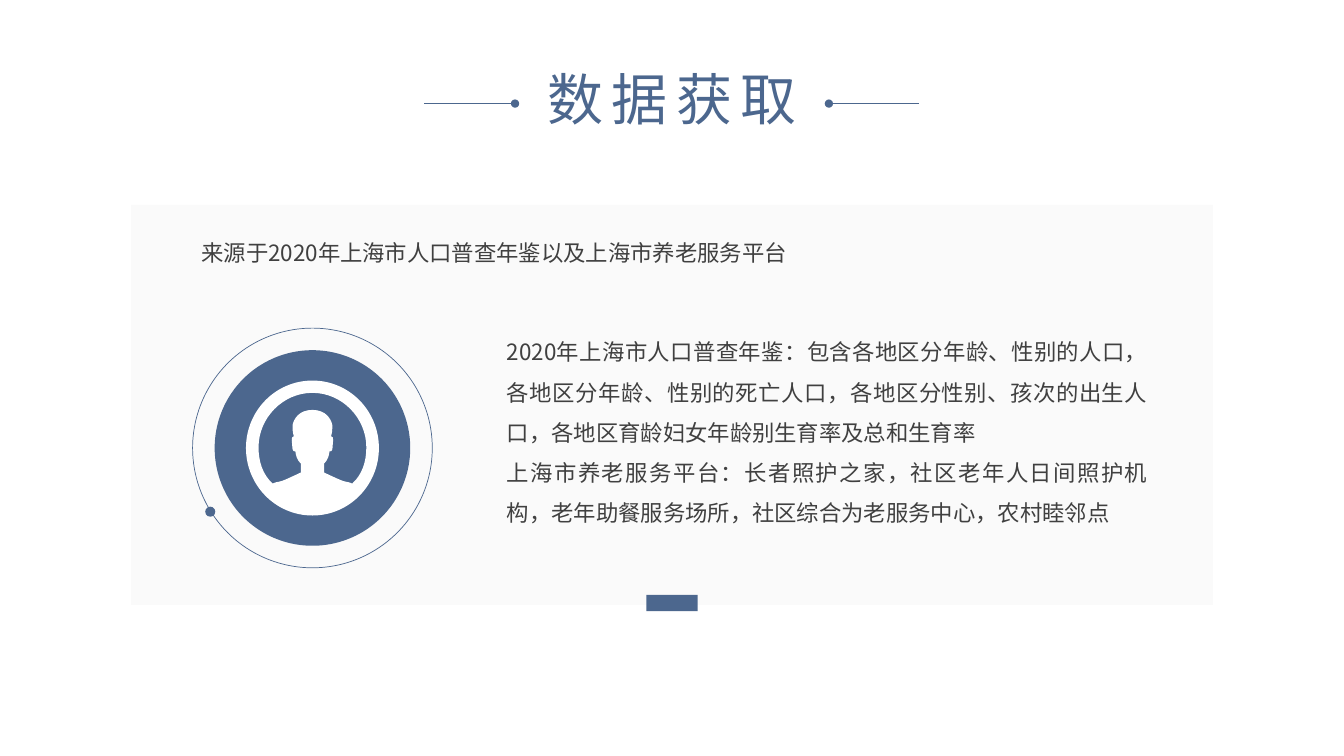
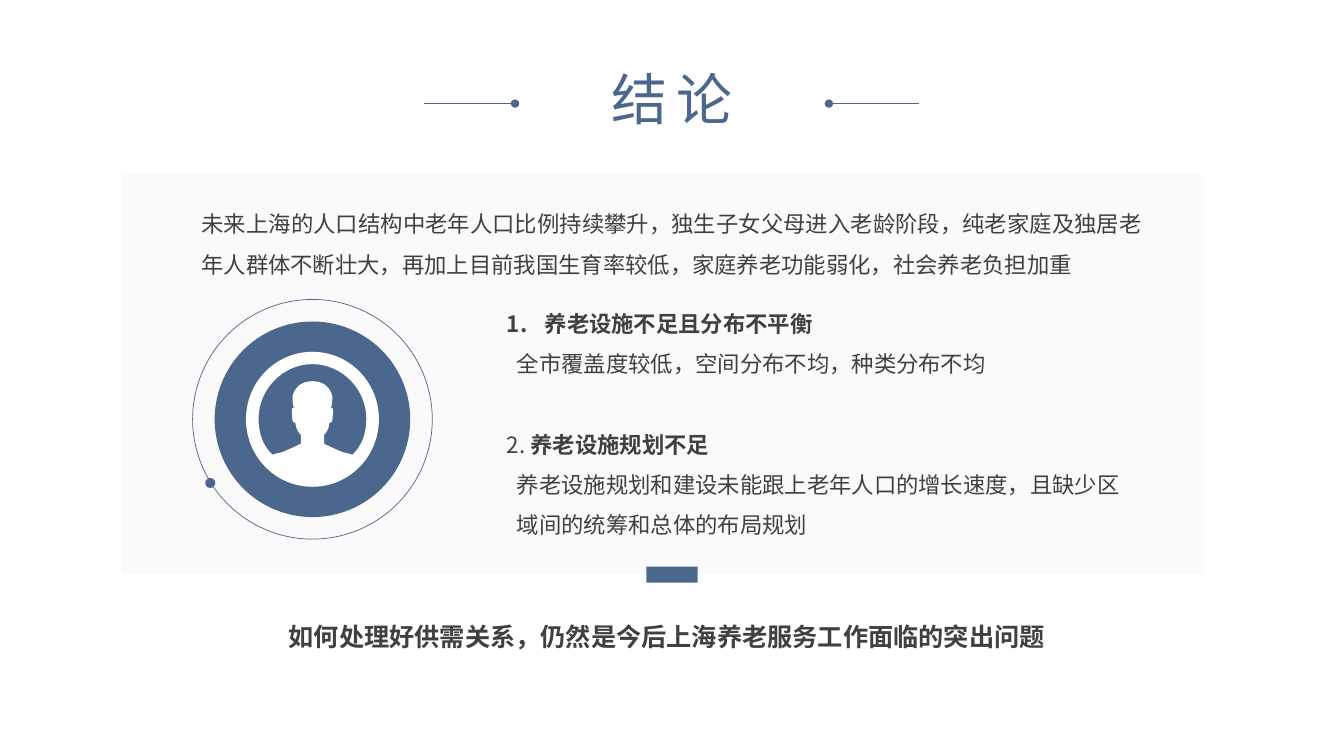
from dataclasses import dataclass
from typing import Optional

from lxml.etree import SubElement
from pptx import Presentation
from pptx.dml.color import RGBColor
from pptx.enum.shapes import MSO_CONNECTOR, MSO_SHAPE
from pptx.enum.text import MSO_AUTO_SIZE, PP_ALIGN
from pptx.oxml.ns import qn
from pptx.util import Pt


@dataclass(frozen=True)
class Theme:
    accent: RGBColor = RGBColor(0x4C, 0x67, 0x8E)
    body: RGBColor = RGBColor(0x40, 0x40, 0x40)
    panel: RGBColor = RGBColor(0xF2, 0xF2, 0xF2)
    white: RGBColor = RGBColor(0xFF, 0xFF, 0xFF)
    panel_alpha: int = 33000
    font: str = "Noto Sans CJK SC"
    title_size: float = 40
    title_tracking: float = 6
    body_size: float = 16
    closing_size: float = 18
    line_spacing: float = 1.5
    hairline: float = 0.5


@dataclass(frozen=True)
class Box:
    left: float
    top: float
    width: float
    height: float

    def lengths(self) -> tuple:
        return Pt(self.left), Pt(self.top), Pt(self.width), Pt(self.height)


@dataclass(frozen=True)
class Span:
    text: str
    bold: bool = False


@dataclass(frozen=True)
class Para:
    spans: tuple
    margin: float = 0
    hanging: float = 0
    numbered: bool = False
    space_before: float = 0


@dataclass(frozen=True)
class TextBlock:
    box: Box
    paras: tuple
    size: float
    grow: bool = False


@dataclass(frozen=True)
class Page:
    title: str
    panel: Box
    tab_top: float
    badge_center: float
    blocks: tuple


THEME = Theme()
SLIDE_WIDTH, SLIDE_HEIGHT = 960, 540
TITLE_BOX = Box(371.7, 42.5, 216.7, 55.4)
RULE_Y = 74
TITLE_RULES = ((303.1, 367.9), (656.6, 592.1))
BADGE_X = 223.2

DISC_HALF = (
    (0, -48.2),
    ((26.3, -48.2), (47.5, -26.6), (47.5, 0)),
    ((47.5, 26.6), (26.3, 48.2), (0, 48.2)),
)
BACKDROP_HALF = (
    (0, -27.2),
    ((9.7, -27.2), (13.3, -20.7), (14.2, -16.4)),
    ((14.2, -13.5), (14.2, -11.3), (13.3, -8.4)),
    ((15.8, -8.4), (14.4, -3.4), (14.4, -1.2)),
    ((14.4, -0.5), (14.4, 3.1), (12.2, 2.4)),
    ((11.5, 8.8), (8.3, 11), (8.3, 11)),
    ((8.3, 11), (8.3, 17.5), (8.3, 17.5)),
    ((8.3, 17.5), (11.2, 18.9), (17.6, 21.8)),
    ((25.6, 25.4), (23.4, 23.2), (28.4, 25.4)),
    ((35.6, 18.9), (38.5, 9.6), (38.5, -0.5)),
    ((38.5, -21.4), (21.2, -39.4), (0, -39.4)),
)


def plain(text: str, **layout) -> Para:
    return Para((Span(text),), **layout)


PAGES = (
    Page(
        title="数据获取",
        panel=Box(93.7, 146.3, 772.6, 285.8),
        tab_top=425,
        badge_center=320,
        blocks=(
            TextBlock(
                Box(136.8, 157.7, 686.9, 36),
                (plain("来源于2020年上海市人口普查年鉴以及上海市养老服务平台"),),
                THEME.body_size,
                grow=True,
            ),
            TextBlock(
                Box(355, 228.6, 472.3, 152.6),
                (
                    plain("2020年上海市人口普查年鉴：包含各地区分年龄、性别的人口，各地区分年龄、性别的死亡人口，各地区分性别、孩次的出生人口，各地区育龄妇女年龄别生育率及总和生育率"),
                    plain("上海市养老服务平台：长者照护之家，社区老年人日间照护机构，老年助餐服务场所，社区综合为老服务中心，农村睦邻点"),
                ),
                THEME.body_size,
                grow=True,
            ),
        ),
    ),
    Page(
        title="结论",
        panel=Box(87.1, 124.6, 772.6, 285.8),
        tab_top=404.7,
        badge_center=299.5,
        blocks=(
            TextBlock(
                Box(136.8, 137.2, 686.9, 65.5),
                (plain("未来上海的人口结构中老年人口比例持续攀升，独生子女父母进入老龄阶段，纯老家庭及独居老年人群体不断壮大，再加上目前我国生育率较低，家庭养老功能弱化，社会养老负担加重"),),
                THEME.body_size,
                grow=True,
            ),
            TextBlock(
                Box(355, 208.1, 472.3, 203),
                (
                    Para((Span("养老设施不足且分布不平衡", True),), margin=27, hanging=27, numbered=True),
                    plain("全市覆盖度较低，空间分布不均，种类分布不均", margin=7.2),
                    Para((Span("2. "), Span("养老设施规划不足", True)), space_before=29),
                    plain("养老设施规划和建设未能跟上老年人口的增长速度，且缺少区", margin=7.2),
                    plain("域间的统筹和总体的布局规划", margin=7.2),
                ),
                THEME.body_size,
            ),
            TextBlock(
                Box(199.2, 429.1, 561.6, 49),
                (Para((Span("如何处理好供需关系，仍然是今后上海养老服务工作面临的突出问题", True),)),),
                THEME.closing_size,
            ),
        ),
    ),
)


def paint(shape, fill: Optional[RGBColor], line: Optional[RGBColor] = None) -> None:
    shape.shadow.inherit = False
    if fill is None:
        shape.fill.background()
    else:
        shape.fill.solid()
        shape.fill.fore_color.rgb = fill
    if line is None:
        shape.line.fill.background()
    else:
        shape.line.color.rgb = line
        shape.line.width = Pt(THEME.hairline)


def add_rectangle(slide, box: Box, fill: RGBColor, alpha: Optional[int] = None) -> None:
    rectangle = slide.shapes.add_shape(MSO_SHAPE.RECTANGLE, *box.lengths())
    paint(rectangle, fill)
    if alpha is not None:
        color = rectangle._element.spPr.find(qn("a:solidFill"))[0]
        SubElement(color, qn("a:alpha"), val=str(alpha))


def add_circle(slide, x: float, y: float, diameter: float,
               fill: Optional[RGBColor], line: Optional[RGBColor] = None) -> None:
    box = Box(x - diameter / 2, y - diameter / 2, diameter, diameter)
    paint(slide.shapes.add_shape(MSO_SHAPE.OVAL, *box.lengths()), fill, line)


def style_run(run, size: float, color: RGBColor, bold: bool = False) -> None:
    run.font.size = Pt(size)
    run.font.bold = bold
    run.font.color.rgb = color
    run.font.name = THEME.font
    SubElement(run._r.get_or_add_rPr(), qn("a:ea"), typeface=THEME.font)


def add_title(slide, title: str) -> None:
    frame = slide.shapes.add_textbox(*TITLE_BOX.lengths()).text_frame
    frame.word_wrap = True
    frame.auto_size = MSO_AUTO_SIZE.SHAPE_TO_FIT_TEXT
    frame.text = title
    heading = frame.paragraphs[0]
    heading.alignment = PP_ALIGN.CENTER
    style_run(heading.runs[0], THEME.title_size, THEME.accent)
    heading.runs[0]._r.get_or_add_rPr().set("spc", str(int(THEME.title_tracking * 100)))
    for outer, inner in TITLE_RULES:
        rule = slide.shapes.add_connector(
            MSO_CONNECTOR.STRAIGHT, Pt(outer), Pt(RULE_Y), Pt(inner), Pt(RULE_Y))
        rule.line.color.rgb = THEME.accent
        rule.line.width = Pt(THEME.hairline)
        SubElement(rule.line._get_or_add_ln(), qn("a:tailEnd"), type="oval")
        SubElement(rule._element.spPr, qn("a:effectLst"))


def add_text(slide, block: TextBlock) -> None:
    frame = slide.shapes.add_textbox(*block.box.lengths()).text_frame
    frame.word_wrap = True
    if block.grow:
        frame.auto_size = MSO_AUTO_SIZE.SHAPE_TO_FIT_TEXT
    for index, para in enumerate(block.paras):
        paragraph = frame.add_paragraph() if index else frame.paragraphs[0]
        paragraph.alignment = PP_ALIGN.JUSTIFY
        paragraph.line_spacing = THEME.line_spacing
        if para.space_before:
            paragraph.space_before = Pt(para.space_before)
        properties = paragraph._p.get_or_add_pPr()
        properties.set("hangingPunct", "0")
        if para.margin:
            properties.set("marL", str(Pt(para.margin)))
            properties.set("indent", str(-Pt(para.hanging)))
        if para.numbered:
            SubElement(properties, qn("a:buAutoNum"), type="arabicPeriod")
        for span in para.spans:
            run = paragraph.add_run()
            run.text = span.text
            style_run(run, block.size, THEME.body, span.bold)


def mirror_curves(half: tuple) -> list:
    start, *curves = half
    origins = [start] + [curve[-1] for curve in curves[:-1]]
    mirrored = [
        tuple((-x, y) for x, y in (second, first, origin))
        for origin, (first, second, _) in zip(origins, curves)]
    return curves + mirrored[::-1]


def add_portrait(slide, center_y: float) -> None:
    def place(point: tuple) -> tuple:
        return Pt(BADGE_X + point[0]), Pt(center_y + point[1])

    disc, backdrop = mirror_curves(DISC_HALF), mirror_curves(BACKDROP_HALF)
    builder = slide.shapes.build_freeform(*place(DISC_HALF[0]))
    builder.add_line_segments([place(curve[-1]) for curve in disc], close=True)
    builder.move_to(*place(BACKDROP_HALF[0]))
    builder.add_line_segments([place(curve[-1]) for curve in backdrop], close=True)
    portrait = builder.convert_to_shape()
    paint(portrait, THEME.white)
    segments = list(portrait._element.iter(qn("a:lnTo")))
    for segment, curve in zip(segments, disc + backdrop):
        segment.tag = qn("a:cubicBezTo")
        segment.clear()
        for x, y in map(place, curve):
            SubElement(segment, qn("a:pt"), x=str(x - portrait.left), y=str(y - portrait.top))


def add_badge(slide, y: float) -> None:
    add_circle(slide, BADGE_X, y, 171.2, None, THEME.accent)
    add_circle(slide, BADGE_X, y, 139.7, THEME.accent)
    add_circle(slide, BADGE_X - 73, y + 45.5, 7.2, THEME.accent)
    add_portrait(slide, y)


def add_page(presentation, page: Page) -> None:
    slide = presentation.slides.add_slide(presentation.slide_layouts[6])
    add_title(slide, page.title)
    add_rectangle(slide, page.panel, THEME.panel, THEME.panel_alpha)
    add_rectangle(slide, Box(461.7, page.tab_top, 36.7, 11.5), THEME.accent)
    add_badge(slide, page.badge_center)
    for block in page.blocks:
        add_text(slide, block)


def main() -> None:
    presentation = Presentation()
    presentation.slide_width = Pt(SLIDE_WIDTH)
    presentation.slide_height = Pt(SLIDE_HEIGHT)
    for page in PAGES:
        add_page(presentation, page)
    presentation.save("out.pptx")


if __name__ == "__main__":
    main()
